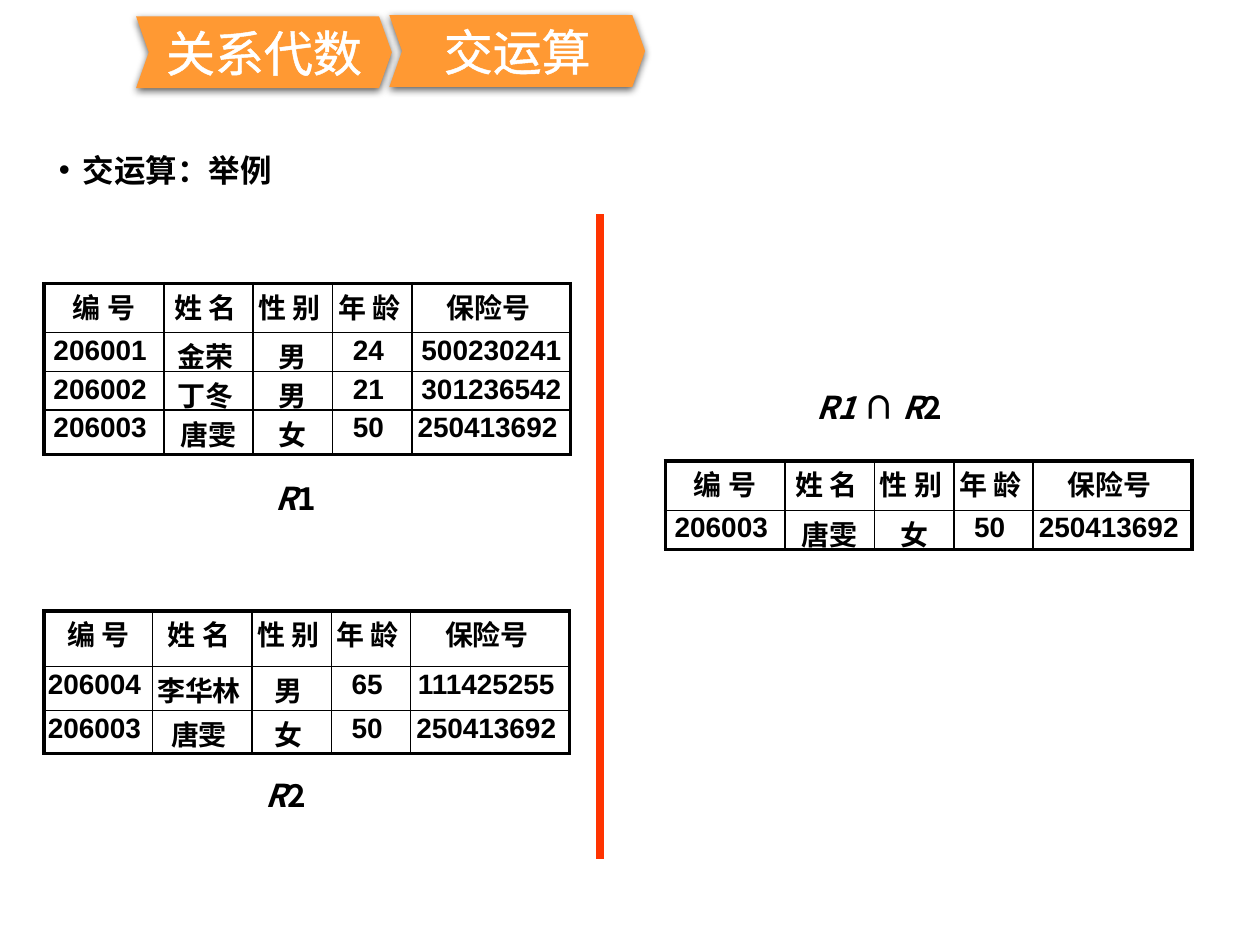
import pptx
import pptx.util
import pptx.dml.color
import pptx.enum.shapes
import pptx.enum.text
import pptx.oxml
import pptx.oxml.ns

HUE = {"ink": "000000", "plate": "FF9933", "text": "FFFFFF", "rule": "FF3300"}
HAN = "Noto Sans CJK SC"
NS = pptx.oxml.ns.nsdecls("a")
Pt = pptx.util.Pt
RGB = pptx.dml.color.RGBColor.from_string
MID = pptx.enum.text.PP_ALIGN.CENTER


def grid(*spans):
    """Turn spans on a grid of 100 columns by 75 rows into lengths."""
    return [pptx.util.Inches(span / 10) for span in spans]


def style(para, size, hue, bold=True, face=HAN, gap=None):
    """Format all runs; gap is the space before, in percent of a line."""
    for run in para.runs:
        run.font.size, run.font.bold, run.font.name = Pt(size), bold, face
        run.font.color.rgb = RGB(HUE[hue])
        run.font._element.append(pptx.oxml.parse_xml(
            f'<a:ea {NS} typeface="{HAN}"/>'))
    if gap:
        para._p.get_or_add_pPr().append(pptx.oxml.parse_xml(
            f'<a:spcBef {NS}><a:spcPct val="{gap * 1000}"/></a:spcBef>'))


deck = pptx.Presentation()
deck.slide_width, deck.slide_height = grid(100, 75)
slide = deck.slides.add_slide(deck.slide_layouts[6])
shapes = slide.shapes

# Topic line
frame = shapes.add_textbox(*grid(0, 11.8, 90.9, 54.6)).text_frame
frame.word_wrap = True
para = frame.paragraphs[0]
para.text = "交运算：举例"
para.line_spacing, para.space_before = 0.9, Pt(3.8)
style(para, 18, "ink")
props = para._p.get_or_add_pPr()
left, hang = grid(5.6, -1.9)
props.set("marL", str(left))
props.set("indent", str(hang))
props.append(pptx.oxml.parse_xml(f'<a:buFont {NS} typeface="Arial"/>'))
props.append(pptx.oxml.parse_xml(f'<a:buChar {NS} char="•"/>'))

# Heading plates
for col, row, label in [(10.8, 1.3, "关系代数"), (30.9, 1.2, "交运算")]:
    plate = shapes.add_shape(pptx.enum.shapes.MSO_SHAPE.CHEVRON,
                             *grid(col, row, 20.3, 5.7))
    plate.adjustments[0] = 0.178
    plate.fill.solid()
    plate.fill.fore_color.rgb = RGB(HUE["plate"])
    plate.line.fill.background()
    plate._element.spPr.append(pptx.oxml.parse_xml(
        f'<a:effectLst {NS}><a:outerShdw blurRad="{Pt(4.5)}" dist="{Pt(1.5)}" '
        f'dir="5400000" rotWithShape="0"><a:srgbClr val="{HUE["ink"]}">'
        '<a:alpha val="63000"/></a:srgbClr></a:outerShdw></a:effectLst>'))
    frame = plate.text_frame
    frame.vertical_anchor = pptx.enum.text.MSO_ANCHOR.MIDDLE
    para = frame.paragraphs[0]
    para.text = label
    para.alignment = MID
    style(para, 28, "text", bold=False)
    para.runs[0].font._element.insert(0, pptx.oxml.parse_xml(
        f'<a:ln {NS} w="{Pt(1.45)}"><a:solidFill><a:srgbClr '
        f'val="{HUE["text"]}"/></a:solidFill></a:ln>'))

# Relations: place, column widths, row heights, records
head = [" 编 号 ", "姓 名 ", "性 别 ", "年 龄 ", "保险号 "]
wide = [9.5, 7.1, 6.3, 6.3, 12.6]
tables = [
    (3.5, 22.5, wide, [3.9, 3.1, 3, 3.5], [
        ["206001 ", "金荣 ", "男", "24 ", "500230241"],
        ["206002 ", "丁冬 ", "男", "21 ", "301236542"],
        ["206003 ", "唐雯", "女", "50 ", "250413692 "]]),
    (3.5, 48.5, [8.6, 7.9] + wide[2:], [4.4, 3.5, 3.4], [
        ["206004 ", "李华林 ", "男 ", "65 ", "111425255 "],
        ["206003 ", "唐雯 ", "女 ", "50 ", "250413692 "]]),
    (52.8, 36.6, wide, [3.9, 3.1], [
        ["206003 ", "唐雯", "女", "50 ", "250413692 "]]),
]
for col, row, widths, heights, records in tables:
    table = shapes.add_table(len(heights), len(widths), *grid(
        col, row, sum(widths), sum(heights))).table
    table.first_row = table.horz_banding = False
    for part, width in zip(table.columns, grid(*widths)):
        part.width = width
    for part, height in zip(table.rows, grid(*heights)):
        part.height = height
    for r, record in enumerate([head] + records):
        for c, value in enumerate(record):
            cell = table.cell(r, c)
            cell.margin_left, cell.margin_right = grid(0.2, 0.2)
            cell.margin_top, cell.margin_bottom = grid(0.2, 0.2)
            para = cell.text_frame.paragraphs[0]
            para.text = value
            para.alignment = MID
            style(para, 16, "ink", face="Arial", gap=20)
            edges = {"L": c == 0, "R": c == len(widths) - 1,
                     "T": r == 0, "B": r == len(heights) - 1}
            for side, outer in edges.items():
                cell._tc.get_or_add_tcPr().append(pptx.oxml.parse_xml(
                    f'<a:ln{side} {NS} w="{Pt(2.25 if outer else 1)}">'
                    f'<a:solidFill><a:srgbClr val="{HUE["ink"]}"/>'
                    f'</a:solidFill></a:ln{side}>'))
            cell.fill.background()

# Divider
x, top, end = grid(47.6, 17, 68.2)
rule = shapes.add_connector(pptx.enum.shapes.MSO_CONNECTOR.STRAIGHT,
                            x, top, x, end)
rule.line.color.rgb = RGB(HUE["rule"])
rule.line.width = Pt(4.5)
rule._element.spPr.append(pptx.oxml.parse_xml(f"<a:effectLst {NS}/>"))

# Relation names: runs alternate between italic and upright
names = [(20.9, 37.5, 6.1, ["R", "1"]), (20.1, 61.1, 6.1, ["R", "2"]),
         (63.8, 30.3, 15.7, ["R1 ", "∩ ", "R", "2"])]
for col, row, width, parts in names:
    frame = shapes.add_textbox(*grid(col, row, width, 4)).text_frame
    frame.word_wrap = True
    para = frame.paragraphs[0]
    for i, part in enumerate(parts):
        run = para.add_run()
        run.text = part
        run.font.italic = i % 2 == 0
    style(para, 18, "ink", gap=50)

deck.save("out.pptx")
